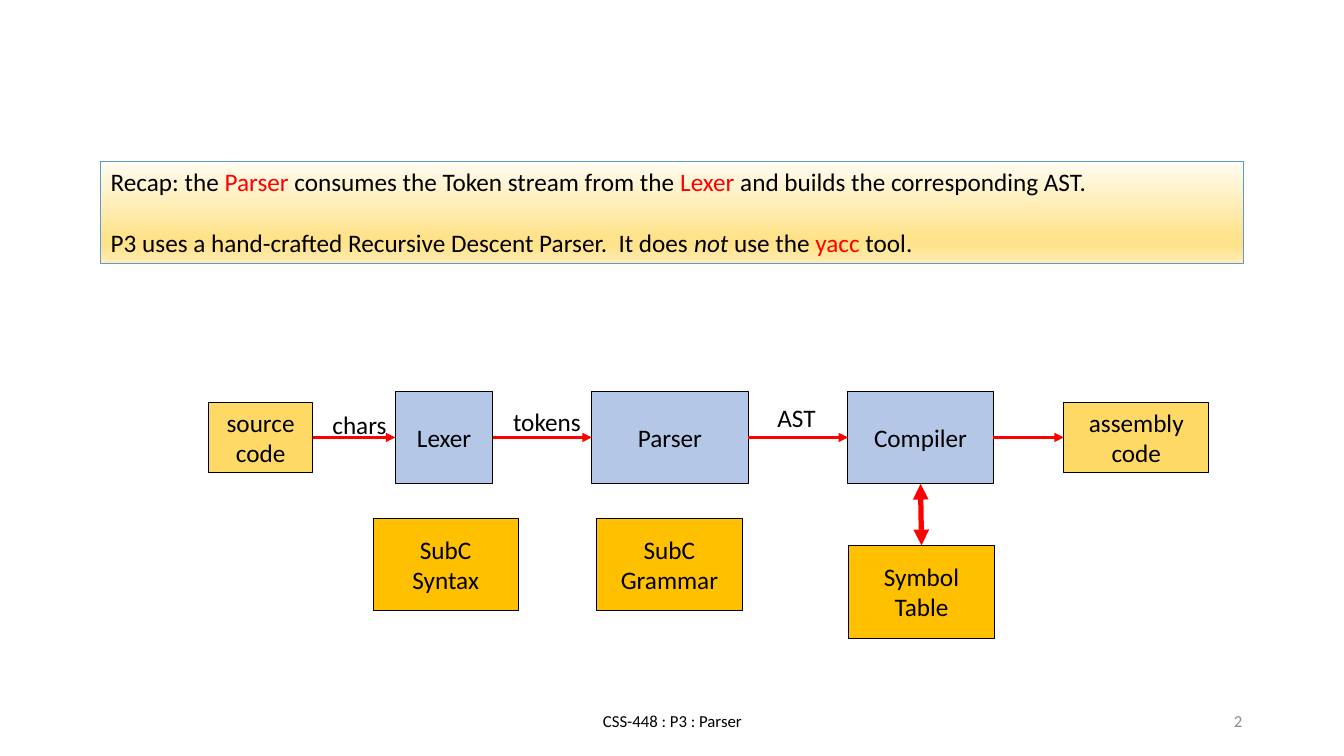
from lxml import etree
from pptx import Presentation, util as u
from pptx.dml.color import RGBColor
from pptx.enum import shapes, text
from pptx.oxml import ns

RED, BLACK, BLUE, YELLOW, ORANGE = "FF0000", "000000", "B4C7E7", "FFD966", "FFC000"
FLOW_MIDDLE = 4.34
BOX_HEIGHT = 0.92

presentation = Presentation()
presentation.slide_width = u.Inches(13.33)
presentation.slide_height = u.Inches(7.5)
slide = presentation.slides.add_slide(presentation.slide_layouts[6])


def color(hex_string):
    return RGBColor.from_string(hex_string)


def add_text(left, top, width, height, lines, fill=None, size=18, ink=BLACK,
             align=text.PP_ALIGN.CENTER, margins=(0.13, 0.07)):
    """Add a filled, outlined box, or a plain text box when there is no fill."""
    bounds = [u.Inches(length) for length in (left, top, width, height)]
    if fill:
        shape = slide.shapes.add_shape(shapes.MSO_SHAPE.RECTANGLE, *bounds)
        shape.shadow.inherit = False
        shape.fill.solid()
        shape.fill.fore_color.rgb = color(fill)
        shape.line.color.rgb = color(BLACK)
        shape.line.width = u.Pt(0.75)
    else:
        shape = slide.shapes.add_textbox(*bounds)
    frame = shape.text_frame
    frame.word_wrap = True
    frame.vertical_anchor = text.MSO_ANCHOR.MIDDLE
    frame.margin_left = frame.margin_right = u.Inches(margins[0])
    frame.margin_top = frame.margin_bottom = u.Inches(margins[1])
    frame.text = lines
    for paragraph in frame.paragraphs:
        paragraph.alignment = align
        paragraph.font.name = "Calibri"
        paragraph.font.size = u.Pt(size)
        paragraph.font.color.rgb = color(ink)
    return shape


# Footer and slide number
add_text(4.42, 6.95, 4.5, 0.4, "CSS-448 : P3 : Parser", size=12, margins=(0.1, 0.05))
add_text(9.42, 6.95, 3, 0.4, "2", size=12, ink="8C8C8C",
         align=text.PP_ALIGN.RIGHT, margins=(0.1, 0.05))

# Recap panel: each run is (words, colour, italic)
recap_lines = [
    [("Recap: the ", BLACK, False), ("Parser", RED, False),
     (" consumes the Token stream from the ", BLACK, False), ("Lexer", RED, False),
     (" and builds the corresponding AST.", BLACK, False)],
    [("P3 uses a hand-crafted Recursive Descent Parser.  It does ", BLACK, False),
     ("not", BLACK, True), (" use the ", BLACK, False), ("yacc", RED, False),
     (" tool.", BLACK, False)],
]
recap = add_text(1, 1.6, 11.33, 1.01, "\n", fill=YELLOW,
                 align=text.PP_ALIGN.LEFT, margins=(0.1, 0.05))
recap.text_frame.vertical_anchor = text.MSO_ANCHOR.TOP
recap.line.color.rgb = color("5B9BD5")
for paragraph, runs in zip(recap.text_frame.paragraphs, recap_lines):
    for words, ink, italic in runs:
        run = paragraph.add_run()
        run.text = words
        run.font.color.rgb = color(ink)
        run.font.italic = italic
recap.text_frame.paragraphs[1].space_before = u.Pt(22)

# Recap gradient, running from top to bottom
recap.fill.gradient()
recap.fill.gradient_angle = 270
stop_list = recap.element.spPr.find(".//" + ns.qn("a:gsLst"))
for stop in list(stop_list):
    stop_list.remove(stop)
for percent, shade in [(0, "FFFCF2"), (74, "FFE38C"), (83, "FFE38C"), (100, "FFECB2")]:
    stop = etree.SubElement(stop_list, ns.qn("a:gs"), pos=str(percent * 1000))
    etree.SubElement(stop, ns.qn("a:srgbClr"), val=shade)

# Compiler pipeline, centred on one line
flow = [
    add_text(left, FLOW_MIDDLE - height / 2, width, height, name, fill)
    for name, left, width, height, fill in [
        ("source code", 2.07, 1.03, 0.7, YELLOW),
        ("Lexer", 3.92, 0.97, BOX_HEIGHT, BLUE),
        ("Parser", 5.87, 1.55, BOX_HEIGHT, BLUE),
        ("Compiler", 8.41, 1.44, BOX_HEIGHT, BLUE),
        ("assembly code", 10.55, 1.44, 0.7, YELLOW),
    ]
]

# Supporting boxes below the pipeline
syntax, grammar, symbol_table = [
    add_text(left, top, 1.44, BOX_HEIGHT, name, ORANGE)
    for name, left, top in [("SubC\nSyntax", 3.7, 5.14), ("SubC\nGrammar", 5.92, 5.14),
                            ("Symbol Table", 8.42, 5.41)]
]

# Arrows: start, its side, end, its side, line width, arrowheads
arrows = [(start, 3, end, 1, 2.25, ["tailEnd"]) for start, end in zip(flow, flow[1:])]
arrows.append((flow[3], 2, symbol_table, 0, 3.75, ["headEnd", "tailEnd"]))
for start, start_side, end, end_side, width, heads in arrows:
    arrow = slide.shapes.add_connector(shapes.MSO_CONNECTOR.STRAIGHT, 0, 0, 0, 0)
    arrow.begin_connect(start, start_side)
    arrow.end_connect(end, end_side)
    arrow.line.color.rgb = color(RED)
    arrow.line.width = u.Pt(width)
    for head in heads:
        etree.SubElement(arrow.line._get_or_add_ln(), ns.qn("a:" + head), type="triangle")
    etree.SubElement(arrow.element.spPr, ns.qn("a:effectLst"))

# Labels on the arrows
for label, left, top, width, height in [("chars", 3.12, 3.97, 0.89, 0.49),
                                        ("tokens", 4.91, 3.94, 1.03, 0.49),
                                        ("AST", 7.49, 3.94, 0.82, 0.4)]:
    add_text(left, top, width, height, label)

presentation.save("out.pptx")
